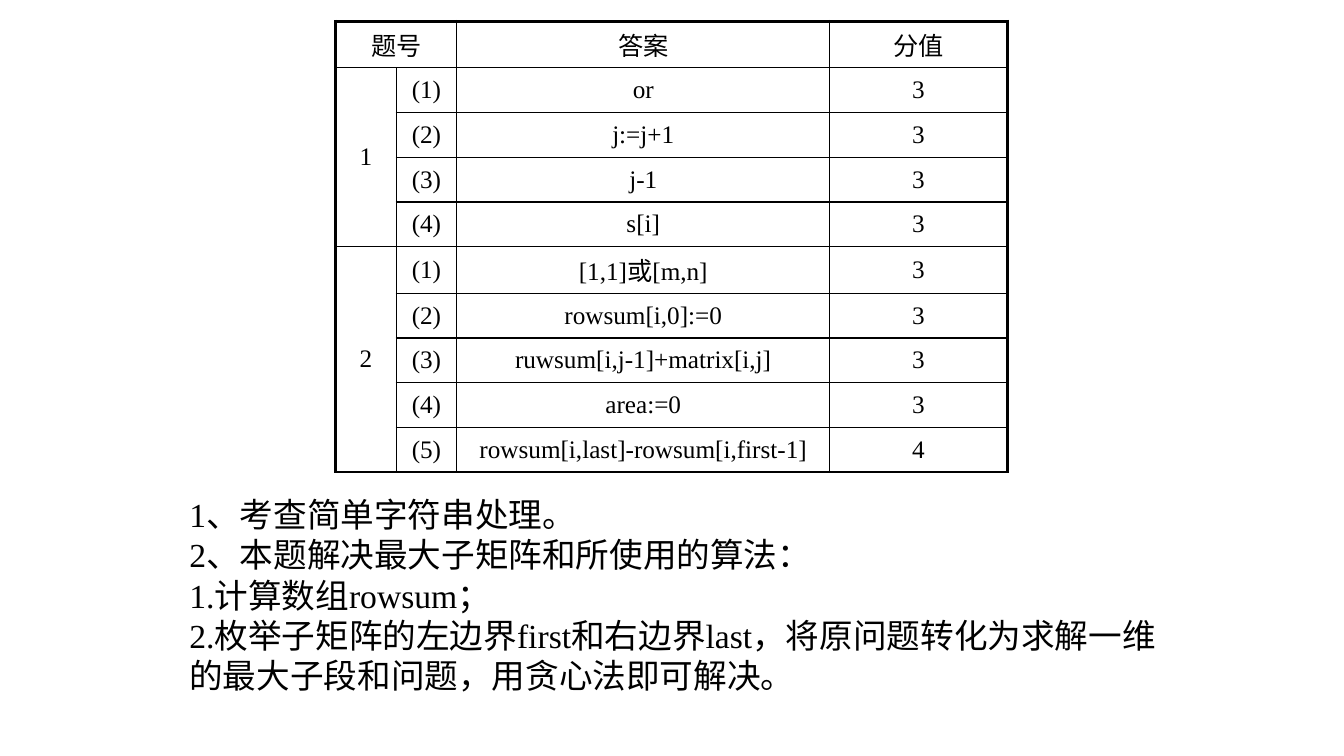
import pptx
import pptx.util
import pptx.dml.color
import pptx.enum.text
import pptx.oxml
import pptx.oxml.ns
from pptx.util import Inches, Pt

HEADINGS = ["题号", "答案", "分值"]
QUESTIONS = {
    "1": [("or", 3), ("j:=j+1", 3), ("j-1", 3), ("s[i]", 3)],
    "2": [("[1,1]或[m,n]", 3), ("rowsum[i,0]:=0", 3),
          ("ruwsum[i,j-1]+matrix[i,j]", 3), ("area:=0", 3),
          ("rowsum[i,last]-rowsum[i,first-1]", 4)],
}
NOTES = [
    "1、考查简单字符串处理。",
    "2、本题解决最大子矩阵和所使用的算法：",
    "1.计算数组rowsum；",
    "2.枚举子矩阵的左边界first和右边界last，将原问题转化为求解一维",
    "的最大子段和问题，用贪心法即可解决。",
]
COLORS = {"ink": "000000"}
FONT = "Times New Roman"
COL_WIDTHS = [0.6, 0.6, 3.7, 1.76]
ROW_HEIGHT = 0.444
THIN, THICK = 1, 2.25


def write(p, text, size):
    r = p.add_run()
    r.text = text
    for name, value in {"name": FONT, "size": Pt(size)}.items():
        setattr(r.font, name, value)
    r.font.color.rgb = pptx.dml.color.RGBColor.from_string(COLORS["ink"])


def set_borders(cell, row, col, n_rows, n_cols):
    """Thick lines on the table's outer edge, thin lines inside."""
    last_row = row + (cell.span_height if cell.is_merge_origin else 1)
    last_col = col + (cell.span_width if cell.is_merge_origin else 1)
    outer = {"L": col == 0, "R": last_col == n_cols,
             "T": row == 0, "B": last_row == n_rows}
    tc_pr = cell._tc.get_or_add_tcPr()
    for i, (side, is_outer) in enumerate(outer.items()):
        width = Pt(THICK if is_outer else THIN)
        tc_pr.insert(i, pptx.oxml.parse_xml(
            f'<a:ln{side} {pptx.oxml.ns.nsdecls("a")} w="{width}"><a:solidFill>'
            f'<a:srgbClr val="{COLORS["ink"]}"/></a:solidFill></a:ln{side}>'))


def add_answers(slide):
    rows = [[HEADINGS[0], "", *HEADINGS[1:]]]
    merges = [(0, 0, 0, 1)]
    for number, answers in QUESTIONS.items():
        first = len(rows)
        for i, (answer, score) in enumerate(answers):
            rows.append([number if i == 0 else "", f"({i + 1})", answer, str(score)])
        merges.append((first, 0, len(rows) - 1, 0))

    n_rows, n_cols = len(rows), len(COL_WIDTHS)
    frame = slide.shapes.add_table(n_rows, n_cols, Inches(3.33), Inches(0.21),
                                   Inches(sum(COL_WIDTHS)), Inches(ROW_HEIGHT * n_rows))
    table = frame.table
    table.first_row = table.horz_banding = False
    for column, width in zip(table.columns, COL_WIDTHS):
        column.width = Inches(width)
    for top, left, bottom, right in merges:
        table.cell(top, left).merge(table.cell(bottom, right))
    for row, values in enumerate(rows):
        for col, text in enumerate(values):
            cell = table.cell(row, col)
            cell.fill.background()
            cell.vertical_anchor = pptx.enum.text.MSO_ANCHOR.MIDDLE
            set_borders(cell, row, col, n_rows, n_cols)
            if text:
                p = cell.text_frame.paragraphs[0]
                p.alignment = pptx.enum.text.PP_ALIGN.CENTER
                write(p, text, 18)


def add_notes(slide):
    tf = slide.shapes.add_textbox(Inches(1.78), Inches(4.85),
                                  Inches(9.88), Inches(2.12)).text_frame
    tf.word_wrap = True
    tf.auto_size = pptx.enum.text.MSO_AUTO_SIZE.SHAPE_TO_FIT_TEXT
    for i, line in enumerate(NOTES):
        write(tf.add_paragraph() if i else tf.paragraphs[0], line, 24)


def main():
    prs = pptx.Presentation()
    prs.slide_width, prs.slide_height = Inches(13.33), Inches(7.5)
    slide = prs.slides.add_slide(prs.slide_layouts[6])
    add_answers(slide)
    add_notes(slide)
    prs.save("out.pptx")


if __name__ == "__main__":
    main()
